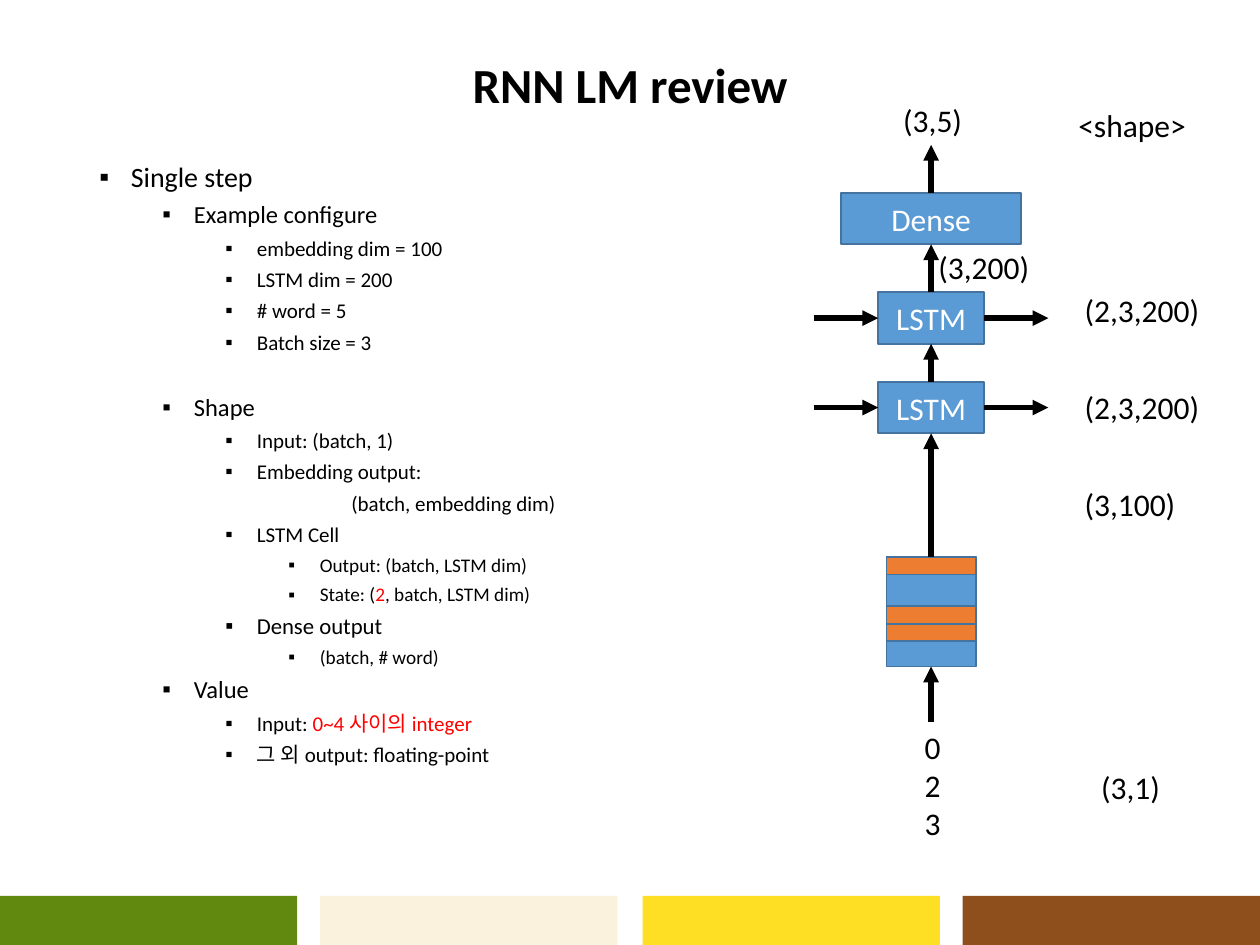
from lxml import etree
from pptx import Presentation
from pptx.dml.color import RGBColor
from pptx.enum.shapes import MSO_CONNECTOR, MSO_SHAPE
from pptx.enum.text import MSO_ANCHOR, PP_ALIGN
from pptx.oxml.ns import qn
from pptx.util import Inches, Pt

COLORS = {
    "text": "000000", "white": "FFFFFF", "red": "FF0000",
    "blue": "5B9BD5", "edge": "43739E", "orange": "ED7D31",
    "green": "61890F", "cream": "FAF2DD", "yellow": "FFDF24", "brown": "8E4F1C",
}
FONT = "Calibri"
OUTLINE = [
    (0, 16, ["Single step"]),
    (1, 14, ["Example configure"]),
    (2, 12, ["embedding dim = 100"]),
    (2, 12, ["LSTM dim = 200"]),
    (2, 12, ["# word = 5"]),
    (2, 12, ["Batch size = 3"]),
    (1, 14, ["Shape"]),
    (2, 12, ["Input: (batch, 1)"]),
    (2, 12, ["Embedding output:"]),
    (2, 12, ["(batch, embedding dim)"]),
    (2, 12, ["LSTM Cell"]),
    (3, 11, ["Output: (batch, LSTM dim)"]),
    (3, 11, ["State: (", "2", ", batch, LSTM dim)"]),
    (2, 13, ["Dense output"]),
    (3, 11, ["(batch, # word)"]),
    (1, 14, ["Value"]),
    (2, 12, ["Input: ", "0~4 사이의 integer"]),
    (2, 12, ["그 외 output: floating-point"]),
]
SPACE_BEFORE = {"Single step": 10, "Shape": 23}
UNBULLETED = "(batch, embedding dim)"


def rgb(name):
    """Return the named colour."""
    return RGBColor.from_string(COLORS[name])


def style_run(r, size, color="text", bold=False):
    """Set the font of a run."""
    r.font.name, r.font.size, r.font.bold = FONT, Pt(size), bold
    r.font.color.rgb = rgb(color)


def add_rect(s, x, y, w, h, fill, edge=None, text=None):
    """Add a rectangle with an optional outline and centred text."""
    sp = s.shapes.add_shape(MSO_SHAPE.RECTANGLE, Inches(x), Inches(y), Inches(w), Inches(h))
    sp.shadow.inherit = False
    sp.fill.solid()
    sp.fill.fore_color.rgb = rgb(fill)
    if edge:
        sp.line.color.rgb = rgb(edge)
        sp.line.width = Pt(1)
    else:
        sp.line.fill.background()
    if text:
        tf = sp.text_frame
        tf.text = text
        tf.vertical_anchor = MSO_ANCHOR.MIDDLE
        tf.paragraphs[0].alignment = PP_ALIGN.CENTER
        style_run(tf.paragraphs[0].runs[0], 18, "white")
    return sp


def add_text(s, x, y, w, h, text, size=18, bold=False, wrap=False):
    """Add a text box and return its frame."""
    tf = s.shapes.add_textbox(Inches(x), Inches(y), Inches(w), Inches(h)).text_frame
    tf.text = text
    tf.word_wrap = wrap
    for p in tf.paragraphs:
        for r in p.runs:
            style_run(r, size, bold=bold)
    return tf


def add_arrow(s, x1, y1, x2, y2, start=None, end=None):
    """Add an arrow, joined to (shape, side) pairs where given."""
    c = s.shapes.add_connector(MSO_CONNECTOR.STRAIGHT, Inches(x1), Inches(y1), Inches(x2), Inches(y2))
    if start:
        c.begin_connect(*start)
    if end:
        c.end_connect(*end)
    c.line.color.rgb = rgb("text")
    c.line.width = Pt(3)
    etree.SubElement(c.line._get_or_add_ln(), qn("a:tailEnd"), type="triangle")
    etree.SubElement(c._element.spPr, qn("a:effectLst"))


def add_footer(s, x, y, h):
    """Draw the row of colour bars."""
    for dx, color in zip((0, 2.54, 5.1, 7.64), ("green", "cream", "yellow", "brown")):
        add_rect(s, x + dx, y, 2.36, h, color)


def add_title(s, x, y, w, h):
    """Write the centred slide title."""
    tf = add_text(s, x, y, w, h, "RNN LM review", 28, True, True)
    tf.vertical_anchor = MSO_ANCHOR.MIDDLE
    tf.paragraphs[0].alignment = PP_ALIGN.CENTER
    tf.paragraphs[0].line_spacing = 0.9


def add_outline(s, x, y, w, h):
    """Write the bulleted outline, with every second run in red."""
    tf = add_text(s, x, y, w, h, "", wrap=True)
    for i, (level, size, parts) in enumerate(OUTLINE):
        p = tf.add_paragraph() if i else tf.paragraphs[0]
        p.level = level
        p.line_spacing = 0.9
        p.space_before = Pt(SPACE_BEFORE.get(parts[0], 5))
        for j, part in enumerate(parts):
            r = p.add_run()
            r.text = part
            style_run(r, size, "red" if j % 2 else "text")
        bulleted = parts[0] != UNBULLETED
        pPr = p._p.get_or_add_pPr()
        pPr.set("marL", str(Inches(0.25 + 0.5 * level if bulleted else 2)))
        pPr.set("indent", str(Inches(-0.25 if bulleted else 0)))
        if bulleted:
            etree.SubElement(pPr, qn("a:buFont"), typeface="Arial")
            etree.SubElement(pPr, qn("a:buChar"), char="▪")
        else:
            etree.SubElement(pPr, qn("a:buNone"))


def add_network(s, x, y, w):
    """Draw the embedding, LSTM and dense layers with their arrows."""
    mid = x + w / 2

    def layer(dy, width, height, text=None):
        return add_rect(s, mid - width / 2, y + dy, width, height, "blue", "edge", text)

    embedding = layer(3.67, 0.71, 0.87)
    lower = layer(2.28, 0.84, 0.41, "LSTM")
    upper = layer(1.57, 0.84, 0.41, "LSTM")
    dense = layer(0.78, 1.43, 0.41, "Dense")
    for dy in (3.67, 4.06, 4.2):
        add_rect(s, mid - 0.355, y + dy, 0.71, 0.14, "orange", "edge")
    add_text(s, mid - 0.15, y + 4.98, 0.3, 1.01, "0\n2\n3", wrap=True)
    add_text(s, mid - 0.32, y, 0.68, 0.4, "(3,5)")
    add_text(s, mid - 0.04, y + 1.17, 0.93, 0.4, "(3,200)")

    add_arrow(s, mid, y + 4.98, mid, y + 4.54, end=(embedding, 2))
    for below, above in ((embedding, lower), (lower, upper), (upper, dense)):
        add_arrow(s, mid, y, mid, y, (below, 0), (above, 2))
    add_arrow(s, mid, y + 0.78, mid, y + 0.4, start=(dense, 0))
    for cell, dy in ((upper, 1.775), (lower, 2.485)):
        add_arrow(s, x, y + dy, mid, y + dy, end=(cell, 1))
        add_arrow(s, mid, y + dy, x + w, y + dy, start=(cell, 3))


def add_shape_labels(s, x, y):
    """Write the column of tensor shapes."""
    labels = [
        (0, 0, 1.07, "<shape>"), (0.05, 1.47, 1.12, "(2,3,200)"),
        (0.05, 2.24, 1.12, "(2,3,200)"), (0.05, 3.01, 0.93, "(3,100)"),
        (0.18, 5.26, 0.68, "(3,1)"),
    ]
    for dx, dy, w, text in labels:
        add_text(s, x + dx, y + dy, w, 0.4, text)


def main():
    """Build and save the slide."""
    prs = Presentation()
    prs.slide_width, prs.slide_height = Inches(10), Inches(7.5)
    s = prs.slides.add_slide(prs.slide_layouts[6])
    add_footer(s, 0, 7.11, 0.39)
    add_title(s, 0.69, 0.4, 8.62, 0.59)
    add_outline(s, 0.69, 1.25, 8.62, 5.51)
    add_network(s, 6.46, 0.75, 1.86)
    add_shape_labels(s, 8.46, 0.79)
    prs.save("out.pptx")


if __name__ == "__main__":
    main()
